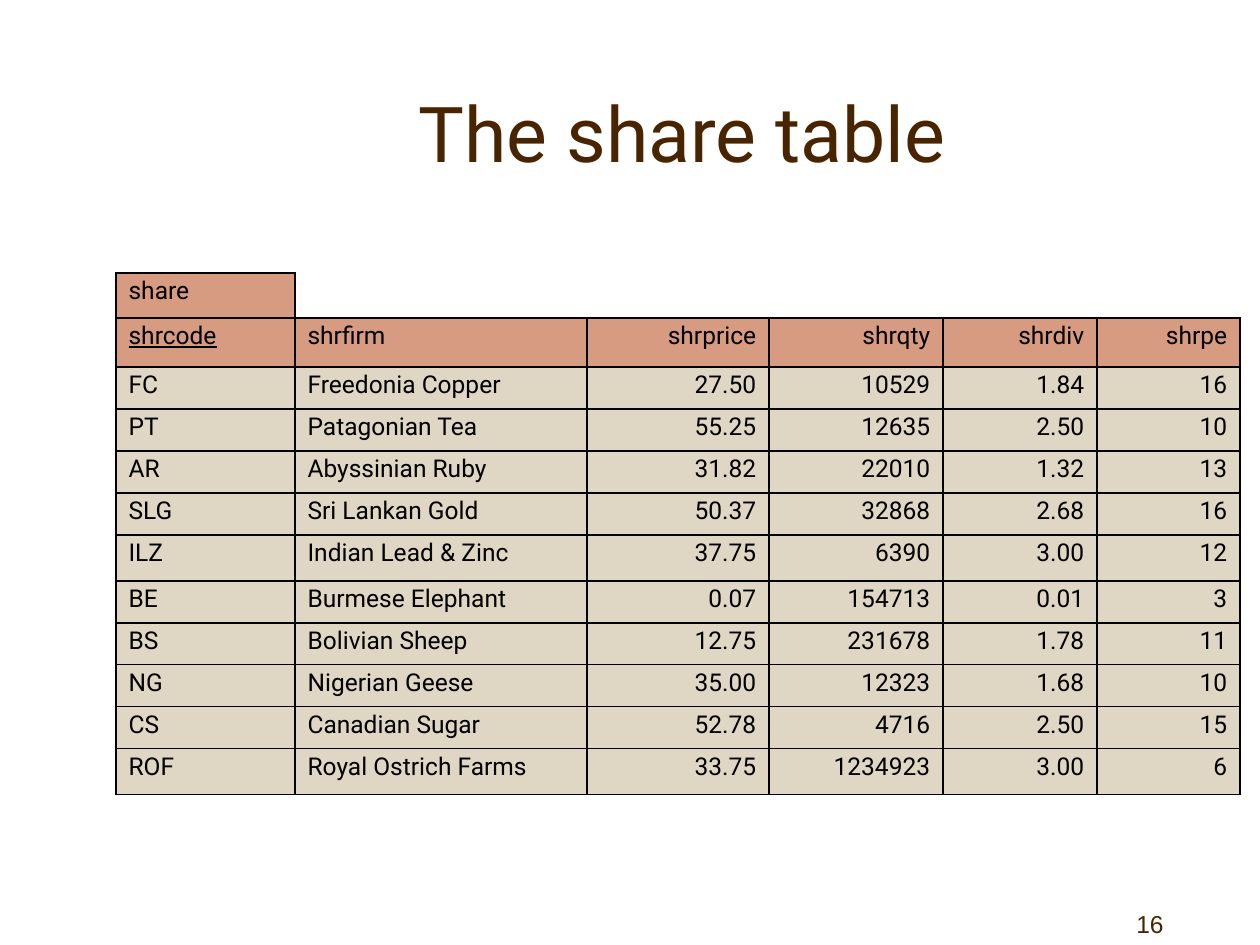
from lxml.etree import SubElement
from pptx import Presentation
from pptx.dml.color import RGBColor
from pptx.enum.text import MSO_ANCHOR as Anchor, PP_ALIGN as Align
from pptx.oxml.ns import qn
from pptx.util import Pt

PX = 914400 // 126
COLORS = {"brown": "482400", "black": "000000", "header": "D69B80", "body": "DFD6C3"}

TITLE_FORMAT = {"name": "Roboto", "size": Pt(44)}
CELL_FORMAT = {"name": "Roboto", "size": Pt(14)}
NUMBER_FORMAT = {"name": "Arial", "size": Pt(14)}

COLUMN_WIDTHS = [179, 292, 182, 174, 154, 143]
ROW_HEIGHTS = [45, 49] + [42] * 4 + [46] + [42] * 4 + [46]
TABLE_NAME = "share"
HEADINGS = ["shrcode", "shrfirm", "shrprice", "shrqty", "shrdiv", "shrpe"]
SHARES = [
    ["FC", "Freedonia Copper", "27.50", "10529", "1.84", "16"],
    ["PT", "Patagonian Tea", "55.25", "12635", "2.50", "10"],
    ["AR", "Abyssinian Ruby", "31.82", "22010", "1.32", "13"],
    ["SLG", "Sri Lankan Gold", "50.37", "32868", "2.68", "16"],
    ["ILZ", "Indian Lead & Zinc", "37.75", "6390", "3.00", "12"],
    ["BE", "Burmese Elephant", "0.07", "154713", "0.01", "3"],
    ["BS", "Bolivian Sheep", "12.75", "231678", "1.78", "11"],
    ["NG", "Nigerian Geese", "35.00", "12323", "1.68", "10"],
    ["CS", "Canadian Sugar", "52.78", "4716", "2.50", "15"],
    ["ROF", "Royal Ostrich Farms", "33.75", "1234923", "3.00", "6"],
]


def px(*lengths):
    return [length * PX for length in lengths]


def rgb(name):
    return RGBColor.from_string(COLORS[name])


def write_text(frame, text, values, color, align):
    paragraph = frame.paragraphs[0]
    paragraph.alignment = align
    run = paragraph.add_run()
    run.text = text
    for key, value in values.items():
        setattr(run.font, key, value)
    run.font.color.rgb = rgb(color)
    return paragraph


def set_borders(cell, sides):
    properties = cell._tc.get_or_add_tcPr()
    for side in "LRTB":
        line = SubElement(properties, qn(f"a:ln{side}"), w=str(Pt(1)))
        if side in sides:
            fill = SubElement(line, qn("a:solidFill"))
            SubElement(fill, qn("a:srgbClr"), val=COLORS["black"])
        else:
            SubElement(line, qn("a:noFill"))


def fill_cell(cell, text, fill, align, underline=False):
    set_borders(cell, "LRTB")
    cell.fill.solid()
    cell.fill.fore_color.rgb = rgb(fill)
    values = {**CELL_FORMAT, "underline": underline}
    paragraph = write_text(cell.text_frame, text, values, "black", align)
    paragraph.line_spacing = 0.88


def add_title(slide):
    title = slide.shapes.title
    title.left, title.top, title.width, title.height = px(147, 53, 1071, 158)
    title.text_frame.vertical_anchor = Anchor.MIDDLE
    write_text(title.text_frame, "The share table", TITLE_FORMAT, "brown", Align.CENTER)


def add_share_table(slide):
    size = px(116, 273, sum(COLUMN_WIDTHS), sum(ROW_HEIGHTS))
    table = slide.shapes.add_table(len(ROW_HEIGHTS), len(COLUMN_WIDTHS), *size).table
    table.first_row = table.horz_banding = False
    for column, width in zip(table.columns, px(*COLUMN_WIDTHS)):
        column.width = width
    for row, height in zip(table.rows, px(*ROW_HEIGHTS)):
        row.height = height

    # Name tab, with an open space to its right
    last = len(HEADINGS) - 1
    fill_cell(table.cell(0, 0), TABLE_NAME, "header", Align.LEFT)
    for column in range(1, last + 1):
        cell = table.cell(0, column)
        cell.margin_top = cell.margin_bottom = 0
        set_borders(cell, "LB" if column == 1 else "B")
        cell.fill.background()
    table.cell(0, 1).merge(table.cell(0, last))

    # Headings and shares: text to the left, figures to the right
    for row, record in enumerate([HEADINGS] + SHARES, start=1):
        for column, text in enumerate(record):
            fill = "header" if row == 1 else "body"
            align = Align.LEFT if column < 2 else Align.RIGHT
            is_key = row == 1 and column == 0
            fill_cell(table.cell(row, column), text, fill, align, is_key)


def add_page_number(slide):
    frame = slide.shapes.add_textbox(*px(1071, 882, 158, 63)).text_frame
    frame.word_wrap = True
    frame.vertical_anchor = Anchor.BOTTOM
    write_text(frame, "16", NUMBER_FORMAT, "brown", Align.CENTER)


def main():
    presentation = Presentation()
    presentation.slide_width, presentation.slide_height = px(1260, 945)
    slide = presentation.slides.add_slide(presentation.slide_layouts[5])
    add_page_number(slide)
    add_title(slide)
    add_share_table(slide)
    presentation.save("out.pptx")


if __name__ == "__main__":
    main()
